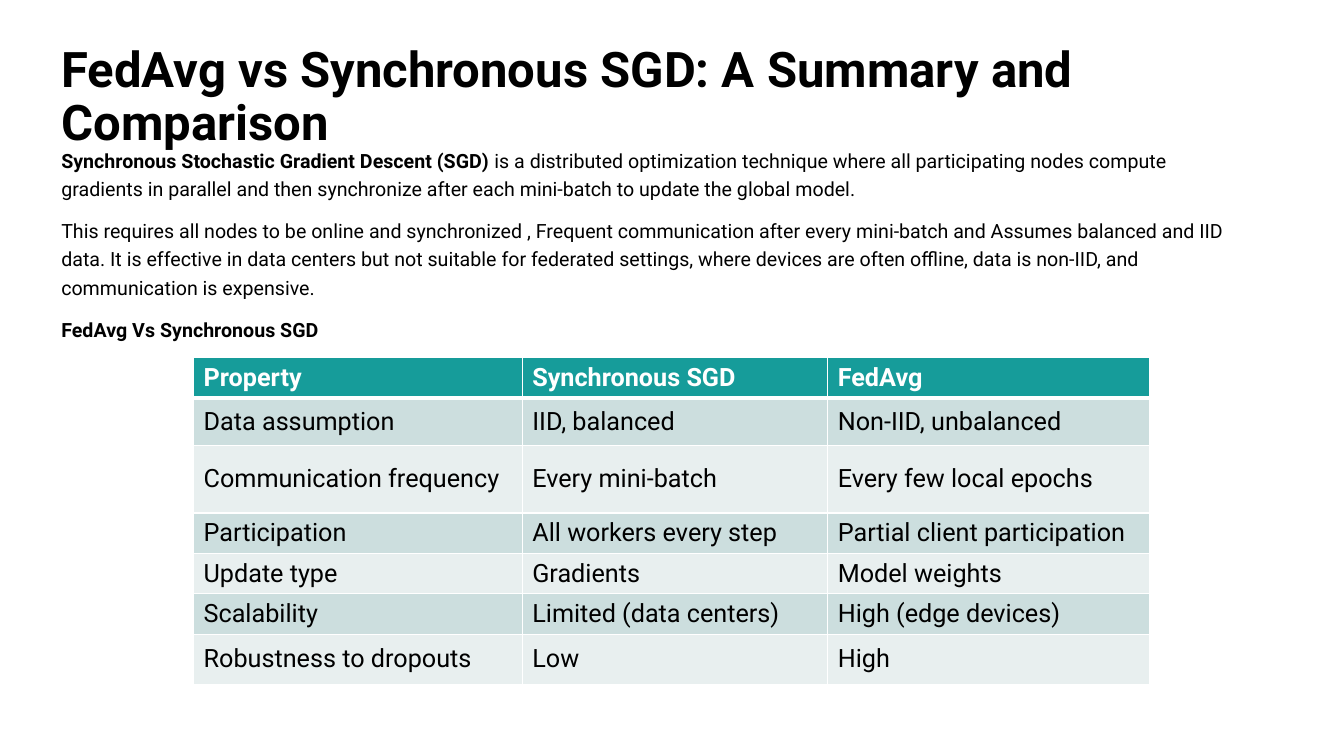
from lxml import etree
from pptx import Presentation
from pptx.dml.color import RGBColor
from pptx.enum.text import MSO_ANCHOR
from pptx.oxml import parse_xml
from pptx.oxml.ns import nsdecls
from pptx.util import Inches, Pt

FONT = "Roboto"
BLACK, WHITE, TEAL = "000000", "FFFFFF", "169C9A"
BANDS = ["CCDEDE", "E8EFEF"]

TITLE = "FedAvg vs Synchronous SGD: A Summary and Comparison"
BODY = [
    [("Synchronous Stochastic Gradient Descent (SGD) ", True),
     ("is a distributed optimization technique where all participating nodes compute "
      "gradients in parallel and then synchronize after each mini-batch to update the "
      "global model.", False)],
    [("This requires all nodes to be online and synchronized , Frequent communication "
      "after every mini-batch and Assumes balanced and IID data. It is effective in data "
      "centers but not suitable for federated settings, where devices are often offline, "
      "data is non-IID, and communication is expensive.", False)],
    [("FedAvg Vs Synchronous SGD", True)],
]
COMPARISON = [
    ("Property", "Synchronous SGD", "FedAvg"),
    ("Data assumption", "IID, balanced", "Non-IID, unbalanced"),
    ("Communication frequency", "Every mini-batch", "Every few local epochs"),
    ("Participation", "All workers every step", "Partial client participation"),
    ("Update type", "Gradients", "Model weights"),
    ("Scalability", "Limited (data centers)", "High (edge devices)"),
    ("Robustness to dropouts", "Low", "High"),
]
COL_WIDTHS = [3.26, 3.03, 3.19]
ROW_HEIGHTS = [0.38, 0.47, 0.67, 0.39, 0.38, 0.38, 0.5]


def rgb(color):
    return RGBColor.from_string(color)


def style_font(font, size, color, bold=None):
    font.name = FONT
    font.size = Pt(size)
    font.color.rgb = rgb(color)
    font.bold = bold


def add_text(s, left, top, width, height, paragraphs, size, line_spacing, space_before=0):
    """Add a text box; each paragraph is a list of (text, bold) runs."""
    tf = s.shapes.add_textbox(Inches(left), Inches(top), Inches(width), Inches(height)).text_frame
    tf.word_wrap = True
    for i, runs in enumerate(paragraphs):
        p = tf.add_paragraph() if i else tf.paragraphs[0]
        p.line_spacing = line_spacing
        p.space_before = Pt(space_before)
        style_font(p.font, size, BLACK)
        for text, bold in runs:
            r = p.add_run()
            r.text = text
            style_font(r.font, size, BLACK, bold)


def set_borders(cell, bottom_width):
    """Draw white cell borders, 1 pt except for the bottom one."""
    tc_pr = cell._tc.get_or_add_tcPr()
    for i, (side, width) in enumerate(zip("LRTB", (1, 1, 1, bottom_width))):
        ln = parse_xml(f'<a:ln{side} {nsdecls("a")} w="{Pt(width)}"><a:solidFill>'
                       f'<a:srgbClr val="{WHITE}"/></a:solidFill></a:ln{side}>')
        tc_pr.insert(i, ln)


def fill_cell(cell, text, row):
    is_header = row == 0
    cell.text = text
    cell.vertical_anchor = MSO_ANCHOR.MIDDLE
    cell.fill.solid()
    cell.fill.fore_color.rgb = rgb(TEAL if is_header else BANDS[(row - 1) % 2])
    style_font(cell.text_frame.paragraphs[0].font, 18, WHITE if is_header else BLACK, is_header)
    set_borders(cell, 3 if row <= 0 else 1)


def add_comparison_table(s, left, top):
    table = s.shapes.add_table(len(COMPARISON), len(COL_WIDTHS), Inches(left), Inches(top),
                               Inches(sum(COL_WIDTHS)), Inches(sum(ROW_HEIGHTS))).table
    for column, width in zip(table.columns, COL_WIDTHS):
        column.width = Inches(width)
    for i, (height, texts) in enumerate(zip(ROW_HEIGHTS, COMPARISON)):
        table.rows[i].height = Inches(height)
        for j, text in enumerate(texts):
            fill_cell(table.cell(i, j), text, i)
    # The header's thick rule is shared with the top edge of the first data row.
    for cell in table.rows[1].cells:
        top_line = cell._tc.tcPr[2]
        etree.strip_attributes(top_line, "w")
        top_line.set("w", str(Pt(3)))


def main():
    prs = Presentation()
    prs.slide_width, prs.slide_height = Inches(13.33), Inches(7.5)
    s = prs.slides.add_slide(prs.slide_layouts[6])
    add_text(s, 0.51, 0.4, 11.9, 0.79, [[(TITLE, True)]], 35, 0.9)
    add_text(s, 0.51, 1.38, 11.9, 5.43, BODY, 14, 1.2, 10)
    add_comparison_table(s, 1.92, 3.55)
    prs.save("out.pptx")


if __name__ == "__main__":
    main()
